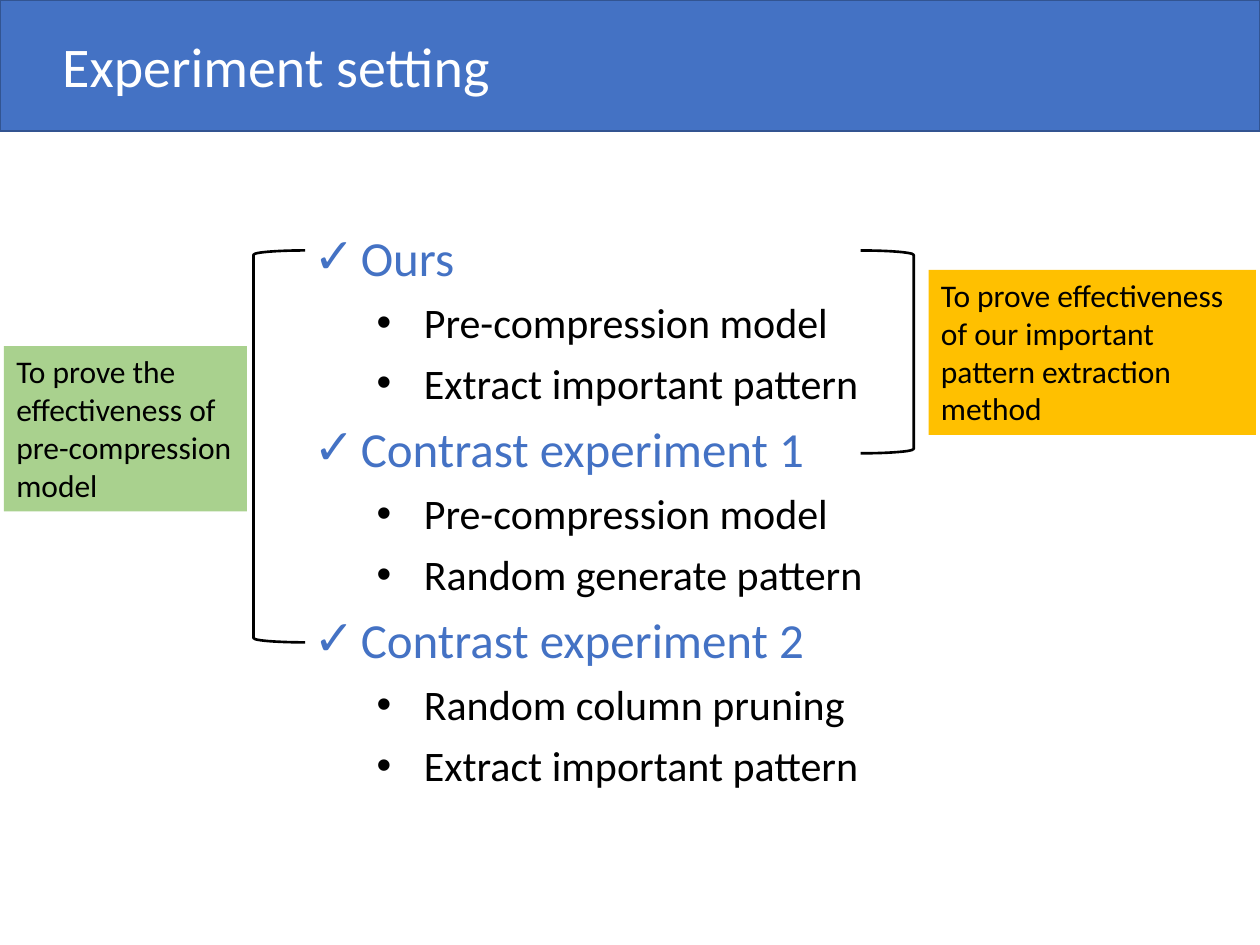
from lxml import etree
from pptx import Presentation
from pptx.dml.color import RGBColor
from pptx.enum.shapes import MSO_SHAPE
from pptx.enum.text import MSO_ANCHOR, MSO_AUTO_SIZE, PP_ALIGN
from pptx.oxml.ns import qn
from pptx.util import Cm, Pt

RECT = MSO_SHAPE.RECTANGLE
LEFT_BR = MSO_SHAPE.LEFT_BRACKET
RIGHT_BR = MSO_SHAPE.RIGHT_BRACKET
TOP = MSO_ANCHOR.TOP
LEFT = PP_ALIGN.LEFT
GROW = MSO_AUTO_SIZE.SHAPE_TO_FIT_TEXT

BLUE, EDGE = "4472C4", "325491"
GOLD, GREEN = "FFC000", "A9D18E"
BLACK, WHITE = "000000", "FFFFFF"

GROUPS = [
    ("Ours", ["Pre-compression model", "Extract important pattern"]),
    ("Contrast experiment 1", ["Pre-compression model", "Random generate pattern"]),
    ("Contrast experiment 2", ["Random column pruning", "Extract important pattern"]),
]


def color(code):
    return RGBColor.from_string(code)


class Deck:
    font = "Calibri"
    gap = Pt(6)
    hang = Cm(0.95)

    def __init__(self):
        self.prs = Presentation()
        self.prs.slide_width, self.prs.slide_height = Cm(25.4), Cm(19.05)
        self.slide = self.prs.slides.add_slide(self.prs.slide_layouts[1])

    def place(self, shape, box):
        shape.left, shape.top, shape.width, shape.height = map(Cm, box)

    def frame(self, shape, wrap=True):
        frame = shape.text_frame
        frame.word_wrap = wrap
        frame.auto_size = GROW
        frame.vertical_anchor = TOP
        return frame

    def text(self, para, words, size, tint, gap=0):
        para.alignment = LEFT
        para.space_before = gap
        para.line_spacing = 1.0
        run = para.add_run()
        run.text = words
        run.font.name = self.font
        run.font.size = Pt(size)
        run.font.color.rgb = color(tint)

    def bullet(self, para, mark, indent):
        props = para._p.get_or_add_pPr()
        props.set("marL", str(indent))
        props.set("indent", str(-self.hang))
        etree.SubElement(props, qn("a:buFont")).set("typeface", "Arial")
        etree.SubElement(props, qn("a:buChar")).set("char", mark)

    def title(self, words, box):
        shape = self.slide.shapes.title
        self.place(shape, box)
        para = self.frame(shape, False).paragraphs[0]
        self.text(para, words, 32, WHITE)

    def list(self, groups, box):
        shape = self.slide.placeholders[1]
        self.place(shape, box)
        frame = self.frame(shape)
        rows = []
        for head, items in groups:
            rows.append((0, head))
            rows += [(1, item) for item in items]
        looks = [(28, BLUE, "✓", self.hang), (24, BLACK, "•", Cm(2.22))]
        for i, (level, words) in enumerate(rows):
            para = frame.add_paragraph() if i else frame.paragraphs[0]
            para.level = level
            size, tint, mark, indent = looks[level]
            self.text(para, words, size, tint, self.gap)
            self.bullet(para, mark, indent)

    def shape(self, kind, box, line, width, fill=None):
        shape = self.slide.shapes.add_shape(kind, *map(Cm, box))
        shape.shadow.inherit = False
        if fill:
            shape.fill.solid()
            shape.fill.fore_color.rgb = color(fill)
        else:
            shape.fill.background()
        shape.line.color.rgb = color(line)
        shape.line.width = Pt(width)
        return shape

    def banner(self, box):
        bar = self.shape(RECT, box, EDGE, 1, BLUE)
        self.slide.shapes.title.element.addprevious(bar.element)

    def bracket(self, kind, box):
        self.shape(kind, box, BLACK, 1.5)

    def note(self, words, box, fill):
        shape = self.slide.shapes.add_textbox(*map(Cm, box))
        shape.fill.solid()
        shape.fill.fore_color.rgb = color(fill)
        para = self.frame(shape).paragraphs[0]
        self.text(para, words, 18, BLACK, self.gap)

    def save(self):
        self.prs.save("out.pptx")


def main():
    deck = Deck()
    deck.banner((0, 0, 25.4, 2.64))
    deck.title("Experiment setting", (1, 0.51, 9.25, 1.63))
    deck.list(GROUPS, (6.07, 4.45, 14.05, 11.71))
    deck.bracket(RIGHT_BR, (17.35, 5.05, 1.07, 4.09))
    deck.note("To prove effectiveness of our important pattern extraction method",
              (18.72, 5.44, 6.6, 3.33), GOLD)
    deck.bracket(LEFT_BR, (5.11, 5.05, 1.04, 7.9))
    deck.note("To prove the effectiveness of pre-compression model",
              (0.08, 6.98, 4.9, 3.33), GREEN)
    deck.save()


if __name__ == "__main__":
    main()
